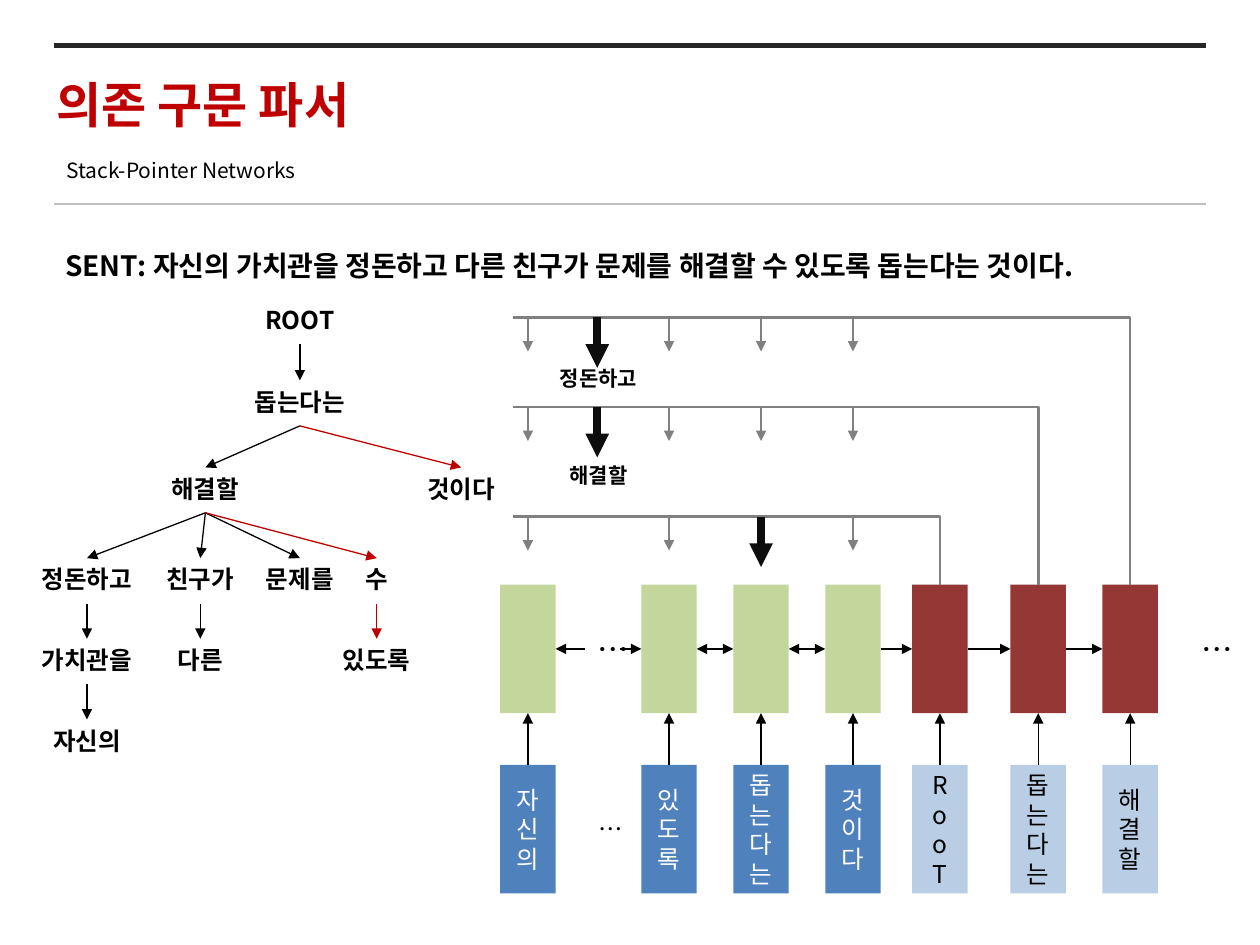
import pptx
import pptx.util
import pptx.dml.color
import pptx.enum.shapes
import pptx.enum.text
import pptx.oxml.ns
from lxml import etree

Inches, Pt = pptx.util.Inches, pptx.util.Pt
RGBColor = pptx.dml.color.RGBColor
ALIGN = pptx.enum.text.PP_ALIGN
ANCHOR = pptx.enum.text.MSO_ANCHOR
CONNECTOR = pptx.enum.shapes.MSO_CONNECTOR
qn = pptx.oxml.ns.qn

FONT = "Noto Sans CJK KR"
BLACK = RGBColor(0x00, 0x00, 0x00)
WHITE = RGBColor(0xFF, 0xFF, 0xFF)
RED = RGBColor(0xC0, 0x00, 0x00)
DARK = RGBColor(0x26, 0x26, 0x26)
RULE = RGBColor(0xBF, 0xBF, 0xBF)
GRAY = RGBColor(0x80, 0x80, 0x80)
CHOSEN = RGBColor(0x0D, 0x0D, 0x0D)
BLUE = RGBColor(0x4F, 0x81, 0xBD)
PALE_BLUE = RGBColor(0xB9, 0xCD, 0xE5)
GREEN = RGBColor(0xC3, 0xD6, 0x9B)
MAROON = RGBColor(0x95, 0x37, 0x35)


def add_run(p, text, size, color=BLACK, bold=False):
    r = p.add_run()
    r.text = text
    r.font.name, r.font.size, r.font.bold = FONT, Pt(size), bold
    r.font.color.rgb = color
    etree.SubElement(r.font._element, qn("a:ea")).set("typeface", FONT)


def add_text(s, x, y, w, h, text, size, bold=False, align=ALIGN.LEFT, wrap=False):
    tf = s.shapes.add_textbox(Inches(x), Inches(y), Inches(w), Inches(h)).text_frame
    tf.word_wrap = wrap
    p = tf.paragraphs[0]
    p.alignment = align
    add_run(p, text, size, bold=bold)
    return p


def add_line(s, x1, y1, x2, y2, color=BLACK, width=0.75, head=False, tail=False, bent=False):
    kind = CONNECTOR.ELBOW if bent else CONNECTOR.STRAIGHT
    line = s.shapes.add_connector(kind, Inches(x1), Inches(y1), Inches(x2), Inches(y2))
    line.line.color.rgb = color
    line.line.width = Pt(width)
    props = line._element.spPr
    if bent:  # a single corner: across, then down
        props.find(qn("a:prstGeom")).set("prst", "bentConnector2")
    for end, wanted in (("a:headEnd", head), ("a:tailEnd", tail)):
        if wanted:
            etree.SubElement(props.find(qn("a:ln")), qn(end)).set("type", "triangle")
    etree.SubElement(props, qn("a:effectLst"))


def add_cell(s, x, y, w, h, fill, letters="", color=BLACK):
    sp = s.shapes.add_shape(pptx.enum.shapes.MSO_SHAPE.RECTANGLE,
                            Inches(x), Inches(y), Inches(w), Inches(h))
    sp.shadow.inherit = False
    sp.fill.solid()
    sp.fill.fore_color.rgb = fill
    sp.line.fill.background()
    tf = sp.text_frame
    tf.vertical_anchor = ANCHOR.MIDDLE
    for i, letter in enumerate(letters):  # one letter per line
        p = tf.add_paragraph() if i else tf.paragraphs[0]
        p.alignment = ALIGN.CENTER
        add_run(p, letter, 14, color)


def add_header(s, x, y, w):
    add_line(s, x, y, x + w, y, DARK, 3)
    add_line(s, x, y + 1.26, x + w, y + 1.26, RULE)
    # Title and subtitle
    title = s.shapes.title
    title.left, title.top = Inches(x - 0.08), Inches(y + 0.18)
    title.width, title.height = Inches(7.56), Inches(0.57)
    tf = title.text_frame
    tf.vertical_anchor = ANCHOR.TOP
    tf.auto_size = pptx.enum.text.MSO_AUTO_SIZE.NONE
    tf.paragraphs[0].alignment = ALIGN.LEFT
    add_run(tf.paragraphs[0], "의존 구문 파서", 28, RED, True)
    p = add_text(s, x, y + 0.82, 7.56, 0.33, "Stack-Pointer Networks", 12, wrap=True)
    p.line_spacing = Pt(16)
    # Example sentence
    add_text(s, x - 0.01, y + 1.56, 9.16, 0.37,
             "SENT: 자신의 가치관을 정돈하고 다른 친구가 문제를 해결할 수 있도록 돕는다는 것이다.",
             16, True)


def add_tree(s, x, y):
    h = 0.36
    # Word, centre, top, index of the parent, colour of the edge to it
    nodes = [
        ("ROOT", 2.2, 0, None, BLACK),
        ("돕는다는", 2.2, 0.65, 0, BLACK),
        ("해결할", 1.45, 1.34, 1, BLACK),
        ("것이다", 3.48, 1.34, 1, RED),
        ("정돈하고", 0.51, 2.06, 2, BLACK),
        ("친구가", 1.41, 2.06, 2, BLACK),
        ("문제를", 2.2, 2.06, 2, BLACK),
        ("수", 2.81, 2.06, 2, RED),
        ("가치관을", 0.51, 2.7, 4, BLACK),
        ("다른", 1.41, 2.7, 5, BLACK),
        ("있도록", 2.81, 2.7, 7, RED),
        ("자신의", 0.51, 3.34, 8, BLACK),
    ]
    for word, cx, top, parent, color in nodes:
        w = 0.76 if word == "ROOT" else 0.21 + 0.2 * len(word)
        add_text(s, x + cx - w / 2, y + top, w, h, word, 14, True, ALIGN.CENTER)
        if parent is not None:
            _, px, ptop, _, _ = nodes[parent]
            add_line(s, x + px, y + ptop + h, x + cx, y + top, color, tail=True)


def add_network(s, x, y):
    w, h = 0.44, 1.02
    state_y, word_y = y + 2.12, y + 3.55
    mid_y = state_y + h / 2
    encoder = [(0, "자신의"), (1.12, "있도록"), (1.85, "돕는다는"), (2.58, "것이다")]
    decoder = [(3.27, "RooT"), (4.05, "돕는다는"), (4.78, "해결할")]

    # Input words, hidden states and the arrows between them
    for cells, word_fill, state_fill, color in ((encoder, BLUE, GREEN, WHITE),
                                                (decoder, PALE_BLUE, MAROON, BLACK)):
        for dx, word in cells:
            cx = x + dx + w / 2
            add_cell(s, x + dx, word_y, w, h, word_fill, word, color)
            add_cell(s, x + dx, state_y, w, h, state_fill)
            add_line(s, cx, word_y, cx, state_y + h, tail=True)

    # Links between states: both ways in the encoder, forward in the decoder
    lefts = [x + dx for dx, _ in encoder + decoder]
    for i in range(1, len(lefts) - 1):
        add_line(s, lefts[i] + w, mid_y, lefts[i + 1], mid_y,
                 head=i < len(encoder) - 1, tail=True)
    add_line(s, x + 0.67, mid_y, lefts[0] + w, mid_y, tail=True)
    add_line(s, x + 0.95, mid_y, lefts[1], mid_y, tail=True)

    # Omitted cells
    for dx, dy, size in ((0.67, 2.43, 18), (5.47, 2.43, 18), (0.68, 3.89, 14)):
        add_text(s, x + dx, y + dy, 0.28, 0.4, "…", size)

    # Pointer rows: height, decoder state, chosen position
    gap_x = x + 0.77
    centres = [left + w / 2 for left in lefts[:len(encoder)]]
    for dy, state, chosen in ((0, 2, gap_x), (0.71, 1, gap_x), (1.58, 0, centres[2])):
        top = y + dy
        add_line(s, x + 0.1, top, x + decoder[state][0] + w / 2, state_y, GRAY, 1.5, bent=True)
        for cx in centres:
            if cx != chosen:
                add_line(s, cx, top, cx, top + 0.27, GRAY, 1.5, tail=True)
        add_line(s, chosen, top, chosen, top + 0.4, CHOSEN, 4.5, tail=True)

    # Words that the pointers chose
    for word, dy, width in (("정돈하고", 0.33, 0.88), ("해결할", 1.1, 0.71)):
        add_text(s, gap_x - width / 2 + 0.01, y + dy, width, 0.3, word, 12, True, ALIGN.CENTER)


def main():
    prs = pptx.Presentation()
    prs.slide_width, prs.slide_height = Inches(10), Inches(7.5)
    s = prs.slides.add_slide(prs.slide_layouts[5])
    add_header(s, 0.43, 0.36, 9.14)
    add_network(s, 3.97, 2.52)
    add_tree(s, 0.18, 2.37)
    prs.save("out.pptx")


if __name__ == "__main__":
    main()
